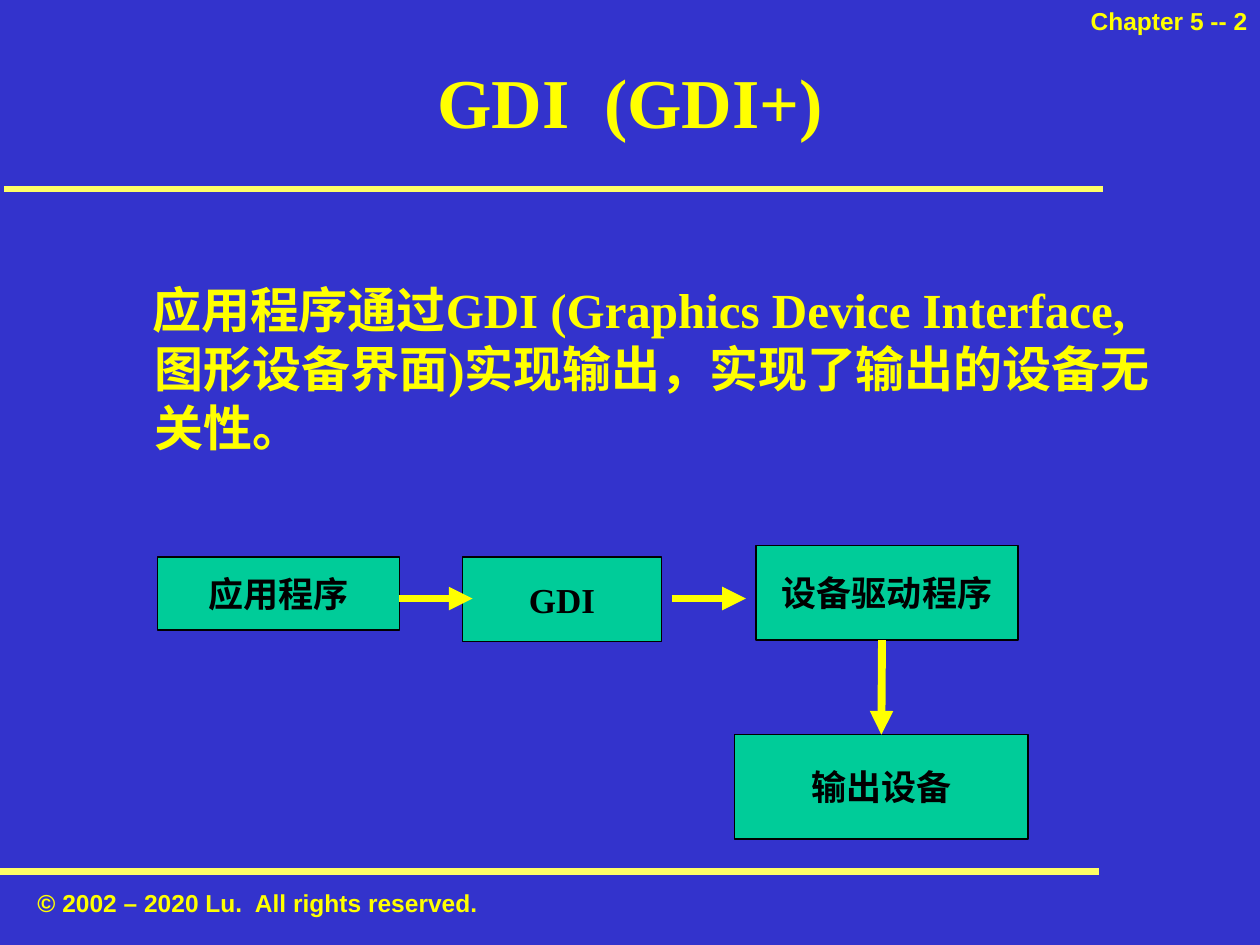
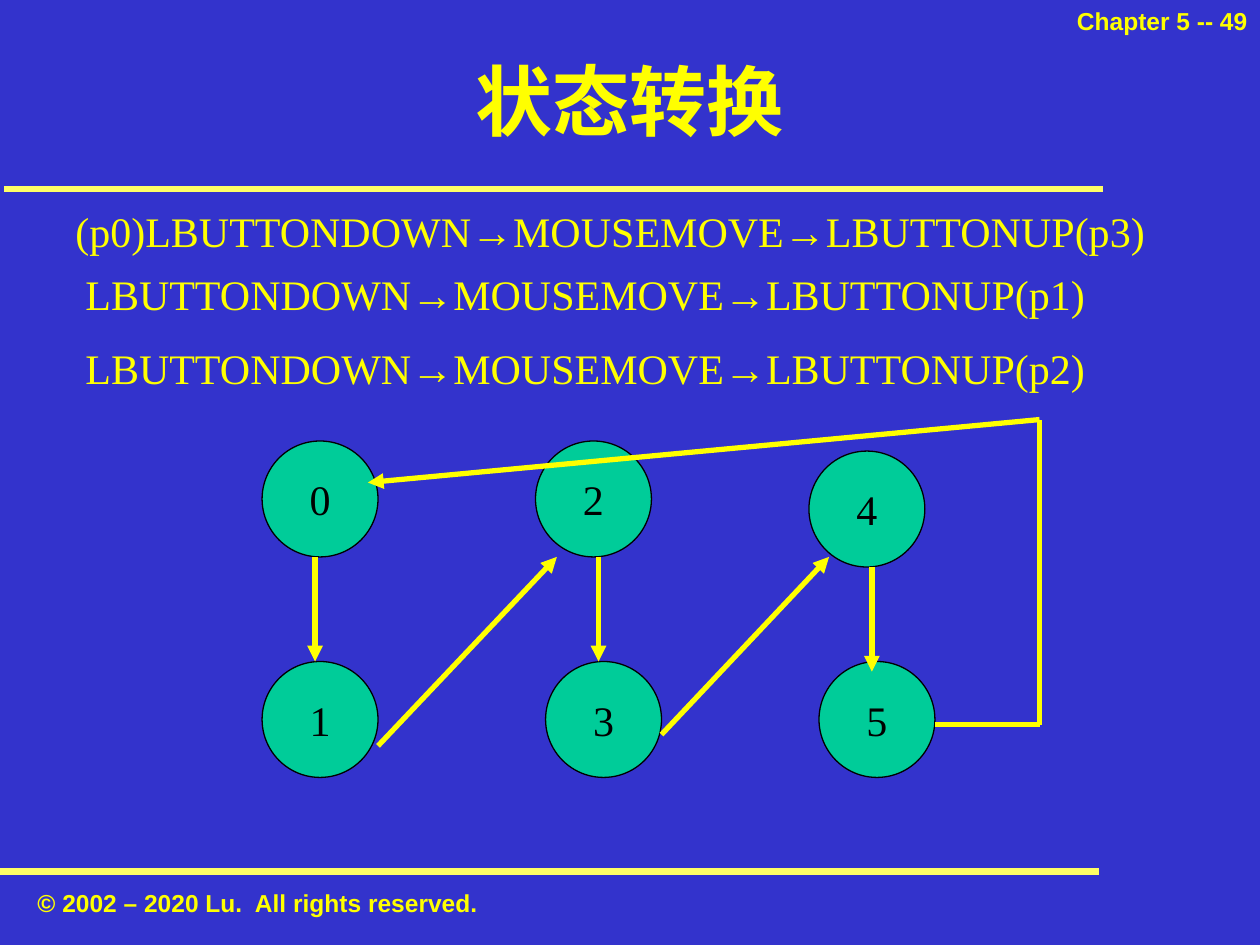
from dataclasses import dataclass

from lxml import etree
from pptx import Presentation
from pptx.dml.color import RGBColor
from pptx.enum.shapes import MSO_CONNECTOR, MSO_SHAPE
from pptx.enum.text import MSO_ANCHOR, MSO_AUTO_SIZE, PP_ALIGN
from pptx.oxml.ns import qn
from pptx.presentation import Presentation as Deck
from pptx.shapes.autoshape import Shape
from pptx.shapes.connector import Connector
from pptx.slide import Slide
from pptx.text.text import _Paragraph as Paragraph
from pptx.util import Inches, Pt

COLORS = {
    "background": "3333CC",
    "rule": "FFFF66",
    "text": "FFFF00",
    "node": "00CC99",
    "ink": "000000",
}
SERIF, SANS = "Times New Roman", "Arial"
LEFT, CENTER, RIGHT = PP_ALIGN.LEFT, PP_ALIGN.CENTER, PP_ALIGN.RIGHT
MIDDLE = MSO_ANCHOR.MIDDLE
NO_AUTOFIT = MSO_AUTO_SIZE.NONE
STRAIGHT = MSO_CONNECTOR.STRAIGHT
RECTANGLE, OVAL = MSO_SHAPE.RECTANGLE, MSO_SHAPE.OVAL
TITLE_ONLY = 5
TOP_SIDE = 0
CIRCLE = 0.92
FLOW_WIDTH, STATE_WIDTH = 4.5, 3


@dataclass(frozen=True)
class Area:
    left: float
    top: float
    width: float
    height: float

    def lengths(self) -> tuple:
        return tuple(map(Inches, (self.left, self.top, self.width, self.height)))


@dataclass(frozen=True)
class Style:
    size: float
    font: str = SERIF
    color: str = "text"
    bold: bool = False


@dataclass(frozen=True)
class Node:
    label: str
    area: Area


@dataclass(frozen=True)
class Line:
    start: tuple[float, float]
    end: tuple[float, float]
    arrow: bool = True


SMALL = Style(14, SANS, bold=True)
BODY = Style(28, bold=True)
EVENT = Style(24)
EVENT_ARROW = Style(24, SANS)
BOX_LABEL = Style(20, color="ink", bold=True)
STATE_LABEL = Style(24, color="ink")

RULES = (
    Line((0.03, 1.5), (8.75, 1.5), arrow=False),
    Line((0, 6.92), (8.72, 6.92), arrow=False),
)

OUTPUT_DEVICE = "输出设备"
FLOW_BOXES = (
    Node("应用程序", Area(1.25, 4.42, 1.92, 0.58)),
    Node("GDI", Area(3.67, 4.42, 1.58, 0.67)),
    Node("设备驱动程序", Area(6, 4.33, 2.08, 0.75)),
    Node(OUTPUT_DEVICE, Area(5.83, 5.83, 2.33, 0.83)),
)
FLOW_ARROWS = (
    Line((3.17, 4.75), (3.75, 4.75)),
    Line((5.33, 4.75), (5.92, 4.75)),
)
DRIVER_TO_DEVICE = Line((7, 5.08), (7, 5.83))

STATE_CORNERS = (
    (2.08, 3.5), (2.08, 5.25),
    (4.25, 3.5), (4.33, 5.25),
    (6.42, 3.58), (6.5, 5.25),
)
STATE_LINES = (
    Line((2.5, 4.42), (2.5, 5.25)),
    Line((3, 5.92), (4.42, 4.42)),
    Line((4.75, 4.42), (4.75, 5.25)),
    Line((5.25, 5.83), (6.58, 4.42)),
    Line((6.92, 4.5), (6.92, 5.33)),
    Line((7.42, 5.75), (8.25, 5.75), arrow=False),
    Line((8.25, 5.75), (8.25, 3.33), arrow=False),
    Line((8.25, 3.33), (2.92, 3.83)),
)
EVENT_ROWS = (
    ("(p0)", "(p3)", Area(0.5, 1.58, 8.7, 0.5)),
    ("", "(p1)", Area(0.58, 2.08, 8.14, 0.5)),
    ("", "(p2)", Area(0.58, 2.67, 8.14, 0.5)),
)


def rgb(name: str) -> RGBColor:
    return RGBColor.from_string(COLORS[name])


def add_span(para: Paragraph, text: str, style: Style) -> None:
    span = para.add_run()
    span.text = text
    span.font.name = style.font
    span.font.size = Pt(style.size)
    span.font.bold = style.bold
    span.font.color.rgb = rgb(style.color)


def add_text(page: Slide, area: Area, spans: list[tuple[str, Style]],
             align: PP_ALIGN = LEFT, wrap: bool = True) -> Paragraph:
    frame = page.shapes.add_textbox(*area.lengths()).text_frame
    frame.word_wrap = wrap
    para = frame.paragraphs[0]
    para.alignment = align
    for text, style in spans:
        add_span(para, text, style)
    return para


def add_line(page: Slide, line: Line, width: float, color: str = "text") -> Connector:
    connector = page.shapes.add_connector(
        STRAIGHT, *map(Inches, (*line.start, *line.end)))
    connector.line.color.rgb = rgb(color)
    connector.line.width = Pt(width)
    if line.arrow:
        outline = connector.line._get_or_add_ln()
        etree.SubElement(outline, qn("a:tailEnd"), type="triangle")
    etree.SubElement(connector._element.spPr, qn("a:effectLst"))
    return connector


def add_node(page: Slide, node: Node, kind: MSO_SHAPE, style: Style) -> Shape:
    shape = page.shapes.add_shape(kind, *node.area.lengths())
    shape.shadow.inherit = False
    shape.fill.solid()
    shape.fill.fore_color.rgb = rgb("node")
    shape.line.color.rgb = rgb("ink")
    shape.line.width = Pt(0.75)
    frame = shape.text_frame
    frame.word_wrap = False
    frame.vertical_anchor = MIDDLE
    para = frame.paragraphs[0]
    para.alignment = CENTER
    add_span(para, node.label, style)
    return shape


def add_page(deck: Deck, number: int, title: str, title_size: float) -> Slide:
    """Add a slide with the shared rules, page number, copyright line and title."""
    page = deck.slides.add_slide(deck.slide_layouts[TITLE_ONLY])
    for rule in RULES:
        add_line(page, rule, 4, "rule")
    add_text(page, Area(8.07, 0, 1.93, 0.42),
             [(f"Chapter 5 -- {number}", SMALL)], RIGHT)
    add_text(page, Area(0.17, 7, 3.75, 0.34),
             [("© 2002 – 2020 Lu.  All rights reserved.", SMALL)], CENTER)

    heading = page.shapes.title
    heading.left, heading.top, heading.width, heading.height = Area(
        0.75, 0.17, 8.5, 1.25).lengths()
    frame = heading.text_frame
    frame.auto_size = NO_AUTOFIT
    frame.vertical_anchor = MIDDLE
    para = frame.paragraphs[0]
    para.alignment = CENTER
    add_span(para, title, Style(title_size, bold=True))
    return page


def build_gdi_page(deck: Deck) -> None:
    page = add_page(deck, 2, "GDI  (GDI+)", 40)
    para = add_text(page, Area(0.75, 2.17, 8.5, 1.6), [(
        "应用程序通过GDI (Graphics Device Interface,图形设备界面)"
        "实现输出，实现了输出的设备无关性。", BODY)])
    properties = para._p.get_or_add_pPr()
    properties.set("marL", str(Inches(0.38)))
    properties.set("indent", str(Inches(-0.02)))

    boxes = {node.label: add_node(page, node, RECTANGLE, BOX_LABEL)
             for node in FLOW_BOXES}
    for arrow in FLOW_ARROWS:
        add_line(page, arrow, FLOW_WIDTH)
    add_line(page, DRIVER_TO_DEVICE, FLOW_WIDTH).end_connect(
        boxes[OUTPUT_DEVICE], TOP_SIDE)


def build_state_page(deck: Deck) -> None:
    page = add_page(deck, 49, "状态转换", 44)
    for number, (left, top) in enumerate(STATE_CORNERS):
        state = Node(str(number), Area(left, top, CIRCLE, CIRCLE))
        add_node(page, state, OVAL, STATE_LABEL)
    for line in STATE_LINES:
        add_line(page, line, STATE_WIDTH)
    for first_point, last_point, area in EVENT_ROWS:
        add_text(page, area, [
            (f"{first_point}LBUTTONDOWN", EVENT),
            ("→", EVENT_ARROW),
            ("MOUSEMOVE", EVENT),
            ("→", EVENT_ARROW),
            (f"LBUTTONUP{last_point}", EVENT),
        ], wrap=False)


def main() -> None:
    deck = Presentation()
    deck.slide_width, deck.slide_height = Inches(10), Inches(7.5)
    background = deck.slide_master.background.fill
    background.solid()
    background.fore_color.rgb = rgb("background")
    build_gdi_page(deck)
    build_state_page(deck)
    deck.save("out.pptx")


if __name__ == "__main__":
    main()
